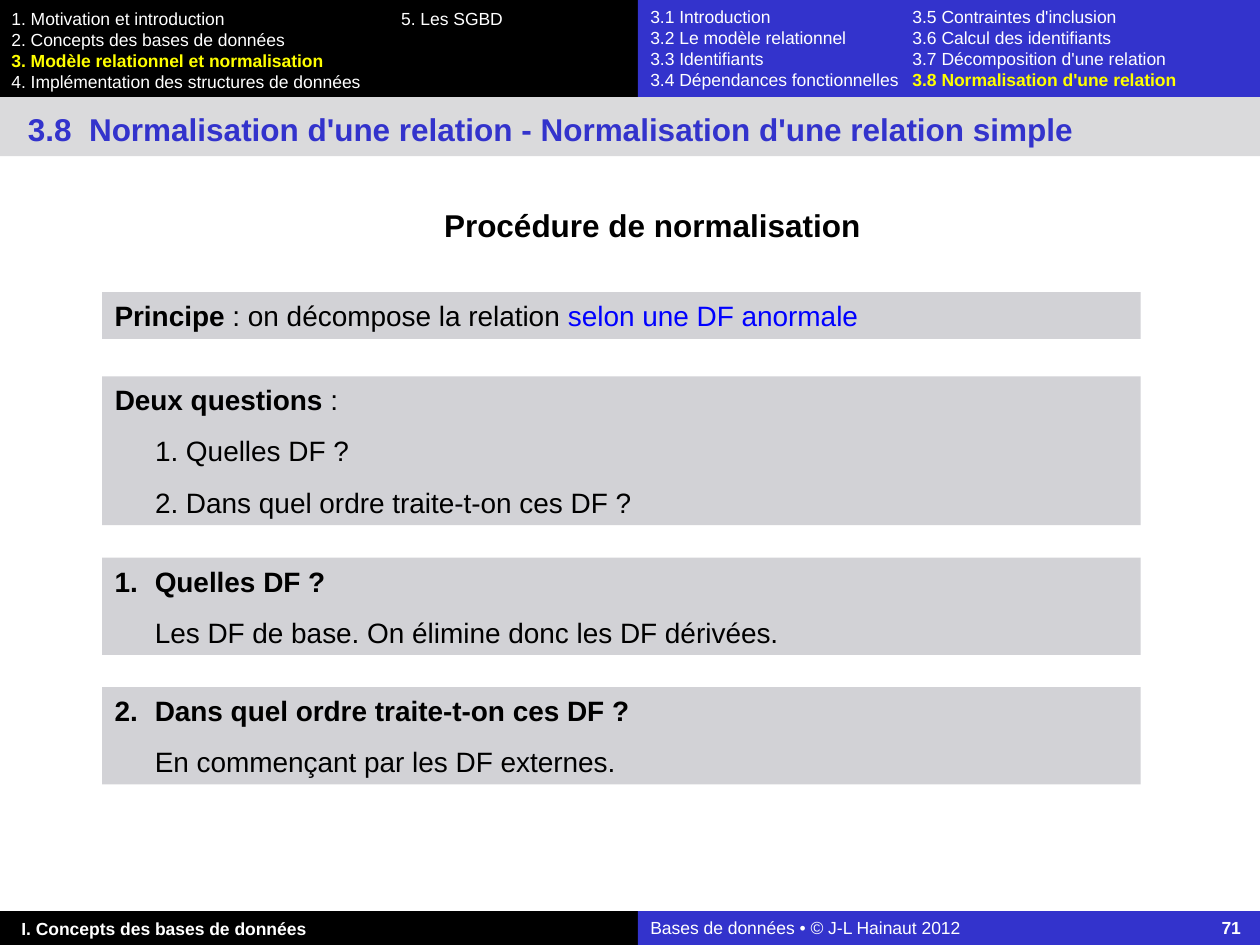
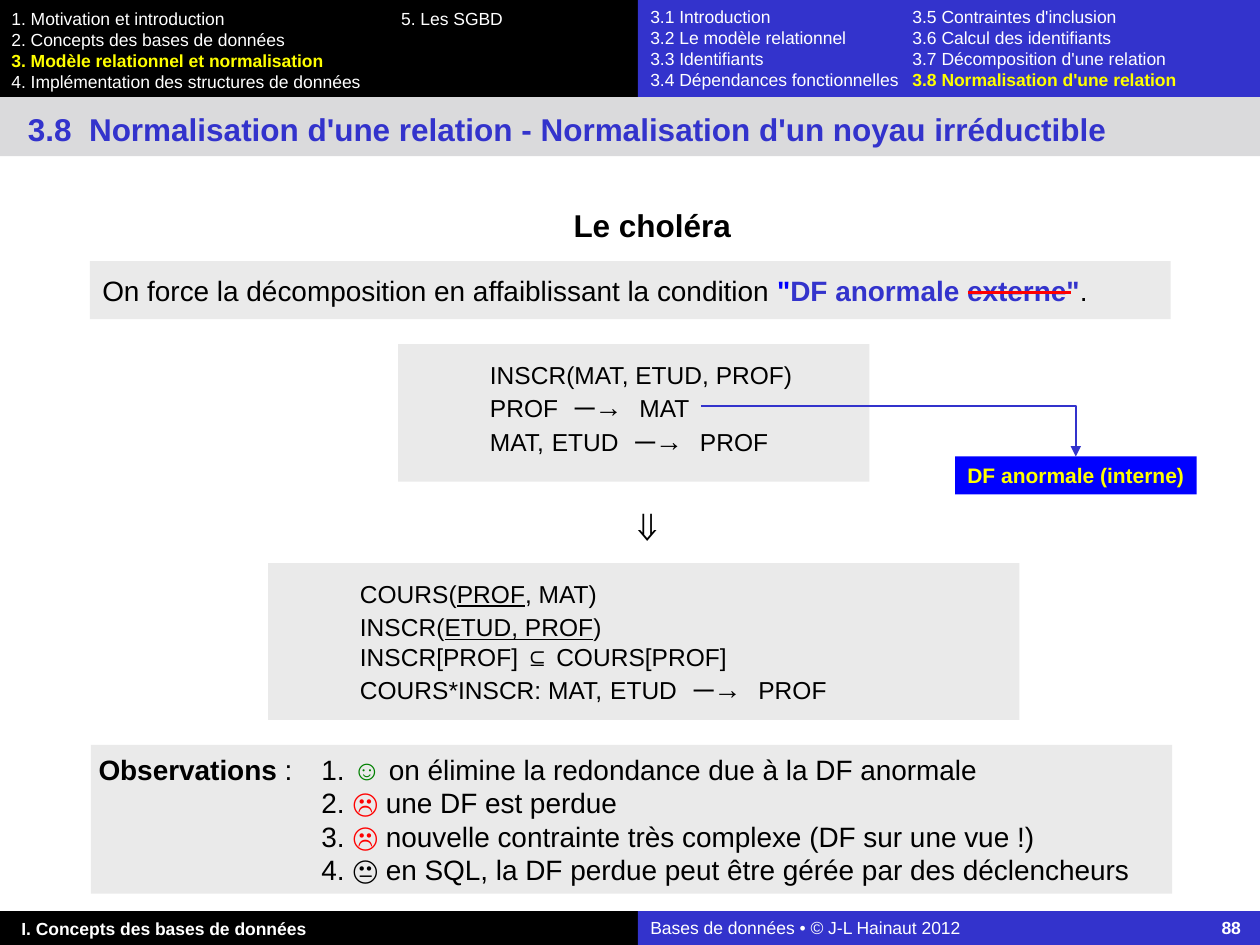
"""Build two slides of a course on relational normalisation."""
from dataclasses import dataclass

import pptx
import pptx.dml.color
import pptx.enum.shapes
import pptx.enum.text
import pptx.oxml
import pptx.oxml.ns
import pptx.presentation
import pptx.shapes.autoshape
import pptx.shapes.connector
import pptx.slide
import pptx.util

Pt = pptx.util.Pt
RGBColor = pptx.dml.color.RGBColor
Align = pptx.enum.text.PP_ALIGN

BLACK = RGBColor(0x00, 0x00, 0x00)
WHITE = RGBColor(0xFF, 0xFF, 0xFF)
YELLOW = RGBColor(0xFF, 0xFF, 0x00)
INDIGO = RGBColor(0x33, 0x33, 0xCC)
BLUE = RGBColor(0x00, 0x00, 0xFF)
RED = RGBColor(0xFF, 0x00, 0x00)
GREEN = RGBColor(0x00, 0x80, 0x00)
TITLE_GREY = RGBColor(0xDA, 0xDA, 0xDC)
PANEL_GREY = RGBColor(0xD2, 0xD2, 0xD6)
LIGHT_GREY = RGBColor(0xEA, 0xEA, 0xEA)

SLIDE_WIDTH, SLIDE_HEIGHT = 720, 540
SPLIT = 364.5
HEADER_HEIGHT, FOOTER_HEIGHT = 55.4, 19.4
FOOTER_TOP = SLIDE_HEIGHT - FOOTER_HEIGHT
SIDE = 7.2


@dataclass(frozen=True)
class Span:
    """A stretch of text in one format; no size or colour means that of its box."""

    text: str
    bold: bool = False
    color: RGBColor | None = None
    size: float | None = None
    font: str = "Arial"
    underline: bool = False


Lines = list[list[Span]]


@dataclass(frozen=True)
class Box:
    """Place and text style of a rectangle."""

    left: float
    top: float
    width: float
    height: float
    fill: RGBColor | None = None
    size: float = 16
    color: RGBColor = BLACK
    insets: tuple[float, float, float, float] = (SIDE, 3.6, SIDE, 3.6)
    tabs: tuple[tuple[float, str], ...] = ()
    hanging: float = 0
    gap: float = 0
    align: Align = Align.LEFT


def left_tab(position: float) -> tuple[tuple[float, str], ...]:
    """Return a single left tab stop."""
    return ((position, "l"),)


def set_layout(para, box: Box) -> None:
    """Give a paragraph its hanging indent, its tab stops and no bullet."""
    properties = para._p.get_or_add_pPr()
    namespace = pptx.oxml.ns.nsdecls("a")
    if box.hanging:
        properties.set("marL", str(Pt(box.hanging)))
        properties.set("indent", str(-Pt(box.hanging)))
    properties.append(pptx.oxml.parse_xml(f"<a:buNone {namespace}/>"))
    if box.tabs:
        stops = "".join(f'<a:tab pos="{Pt(place)}" algn="{side}"/>' for place, side in box.tabs)
        properties.append(pptx.oxml.parse_xml(f"<a:tabLst {namespace}>{stops}</a:tabLst>"))


def write(shape: pptx.shapes.autoshape.Shape, box: Box, lines: Lines) -> None:
    """Place a shape, fill it and write its formatted lines."""
    shape.left, shape.top = Pt(box.left), Pt(box.top)
    shape.width, shape.height = Pt(box.width), Pt(box.height)
    if box.fill is not None:
        shape.fill.solid()
        shape.fill.fore_color.rgb = box.fill
    frame = shape.text_frame
    frame.word_wrap = True
    frame.auto_size = pptx.enum.text.MSO_AUTO_SIZE.NONE
    frame.vertical_anchor = pptx.enum.text.MSO_ANCHOR.MIDDLE
    frame.margin_left, frame.margin_top, frame.margin_right, frame.margin_bottom = map(Pt, box.insets)
    for index, spans in enumerate(lines):
        para = frame.add_paragraph() if index else frame.paragraphs[0]
        set_layout(para, box)
        para.alignment = box.align
        para.space_before = Pt(box.gap if index else 0)
        for span in spans:
            run = para.add_run()
            run.text = span.text
            run.font.name = span.font
            run.font.size = Pt(span.size or box.size)
            run.font.bold = span.bold
            run.font.underline = span.underline
            run.font.color.rgb = span.color or box.color


def add_box(slide: pptx.slide.Slide, box: Box, lines: Lines) -> None:
    """Add a filled rectangle, or a text box when there is no fill."""
    if box.fill is None:
        shape = slide.shapes.add_textbox(0, 0, 0, 0)
    else:
        shape = slide.shapes.add_shape(pptx.enum.shapes.MSO_SHAPE.RECTANGLE, 0, 0, 0, 0)
        shape.shadow.inherit = False
        shape.line.fill.background()
    write(shape, box, lines)


def add_line(slide: pptx.slide.Slide, kind: pptx.enum.shapes.MSO_CONNECTOR,
             start: tuple[float, float], end: tuple[float, float],
             color: RGBColor, width: float) -> pptx.shapes.connector.Connector:
    """Add a connector without a shadow."""
    line = slide.shapes.add_connector(kind, *map(Pt, start + end))
    line.line.color.rgb = color
    line.line.width = Pt(width)
    effects = f"<a:effectLst {pptx.oxml.ns.nsdecls('a')}/>"
    line._element.spPr.append(pptx.oxml.parse_xml(effects))
    return line


def add_corner_arrow(slide: pptx.slide.Slide, start: tuple[float, float],
                     end: tuple[float, float]) -> None:
    """Add an arrow that runs right and then down."""
    arrow = add_line(slide, pptx.enum.shapes.MSO_CONNECTOR.ELBOW, start, end, INDIGO, 1.25)
    arrow._element.spPr.find(pptx.oxml.ns.qn("a:prstGeom")).set("prst", "bentConnector2")
    head = f'<a:tailEnd {pptx.oxml.ns.nsdecls("a")} type="triangle"/>'
    arrow.line._get_or_add_ln().append(pptx.oxml.parse_xml(head))


TITLE = Box(0, HEADER_HEIGHT, SLIDE_WIDTH, 33.8, TITLE_GREY, 18, INDIGO,
            (16, 6, SIDE, 3.6), left_tab(34.9))
HEADING = Box(62.4, 110.4, 617.8, 36, size=18, insets=(4.3, SIDE, 1.4, SIDE), align=Align.CENTER)
CHAPTERS = Box(0, 0, SPLIT, HEADER_HEIGHT, BLACK, 10, WHITE, (6.5, 5.6, SIDE, 3.6), left_tab(222.7))
SECTIONS = Box(SPLIT, 0, SLIDE_WIDTH - SPLIT, HEADER_HEIGHT, INDIGO, 10, WHITE, tabs=left_tab(149.8))
PART = Box(0, FOOTER_TOP, SPLIT, FOOTER_HEIGHT, BLACK, 10, WHITE, (12.2, 4.4, SIDE, 3.6))
CREDIT = Box(SPLIT, FOOTER_TOP, SLIDE_WIDTH - SPLIT, FOOTER_HEIGHT, INDIGO, 10, WHITE,
             tabs=((337.5, "r"),))

CHAPTER_LINES = [
    [Span("1. Motivation et introduction\t5. Les SGBD")],
    [Span("2. Concepts des bases de données")],
    [Span("3. Modèle relationnel et normalisation", True, YELLOW)],
    [Span("4. Implémentation des structures de données")],
]
SECTION_LINES = [
    [Span("3.1 Introduction\t3.5 Contraintes d'inclusion")],
    [Span("3.2 Le modèle relationnel\t3.6 Calcul des identifiants")],
    [Span("3.3 Identifiants\t3.7 Décomposition d'une relation")],
    [Span("3.4 Dépendances fonctionnelles\t"), Span("3.8 Normalisation d'une relation", True, YELLOW)],
]


def add_course_slide(deck: pptx.presentation.Presentation, topic: str, heading: str,
                     number: int, body: Box, body_lines: Lines) -> pptx.slide.Slide:
    """Add a slide with the course bands, its title, its heading and its list."""
    slide = deck.slides.add_slide(deck.slide_layouts[1])
    write(slide.shapes.title, TITLE, [[Span(f"3.8\tNormalisation d'une relation - {topic}", True)]])
    write(slide.placeholders[1], body, body_lines)
    add_box(slide, CHAPTERS, CHAPTER_LINES)
    add_box(slide, SECTIONS, SECTION_LINES)
    add_box(slide, PART, [[Span("I. Concepts des bases de données", True)]])
    add_box(slide, CREDIT, [[Span("Bases de données • © J-L Hainaut 2012\t"), Span(str(number), True)]])
    add_box(slide, HEADING, [[Span(heading, True)]])
    return slide


def panel(top: float, height: float) -> Box:
    """Return a grey panel of the procedure slide."""
    return Box(58.4, top, 593.4, height, PANEL_GREY, hanging=23, gap=10)


def add_procedure_slide(deck: pptx.presentation.Presentation) -> None:
    """Add the slide on the normalisation procedure."""
    questions = [
        [Span("Deux questions", True), Span(" :")],
        [Span("\t1. Quelles DF ?")],
        [Span("\t2. Dans quel ordre traite-t-on ces DF ?")],
    ]
    slide = add_course_slide(deck, "Normalisation d'une relation simple",
                             "Procédure de normalisation", 71, panel(215.1, 85), questions)
    add_box(slide, panel(167, 26.7), [[
        Span("Principe", True), Span(" : on décompose la relation "),
        Span("selon une DF anormale", color=BLUE)]])
    answers = [
        ("1.\tQuelles DF ?", "\tLes DF de base. On élimine donc les DF dérivées."),
        ("2.\tDans quel ordre traite-t-on ces DF ?", "\tEn commençant par les DF externes."),
    ]
    for index, (question, answer) in enumerate(answers):
        add_box(slide, panel(318.7 + 73.9 * index, 55.6), [[Span(question, True)], [Span(answer)]])


def dependency(source: list[Span], target: str) -> list[Span]:
    """Return a line showing a functional dependency."""
    wide_space = Span(" ", size=16, font="Courier New")
    return [Span("\t", size=16), *source, wide_space, Span("─→", size=16), wide_space, Span(target)]


def key_relation(name: str, key: str, rest: str) -> list[Span]:
    """Return a line showing a relation with its identifier underlined."""
    return [Span("\t", size=16, font="Times New Roman"), Span(f"{name}("),
            Span(key, underline=True), Span(rest)]


def add_cholera_slide(deck: pptx.presentation.Presentation) -> None:
    """Add the slide on the forced decomposition."""
    remarks = Box(52, 425.7, 617.8, 85, LIGHT_GREY, insets=(4.3, 4.3, 1.4, 4.3), hanging=127.4)
    remark_lines = [
        [Span("Observations", True), Span(" :\t1. "), Span("☺ ", True, GREEN),
         Span("on élimine la redondance due à la DF anormale")],
        [Span("\t2. "), Span("☹", True, RED), Span(" une DF est perdue")],
        [Span("\t3. "), Span("☹", True, RED),
         Span(" nouvelle contrainte très complexe (DF sur une vue !)")],
        [Span("\t4. "), Span("😐", True),
         Span(" en SQL, la DF perdue peut être gérée par des déclencheurs")],
    ]
    slide = add_course_slide(deck, "Normalisation d'un noyau irréductible",
                             "Le choléra", 88, remarks, remark_lines)

    add_box(slide, Box(51.4, 149.2, 617.6, 33.2, LIGHT_GREY), [[
        Span("On force la décomposition en affaiblissant la condition "),
        Span('"', True, BLUE), Span('DF anormale externe"', True, INDIGO), Span(".")]])
    add_line(slide, pptx.enum.shapes.MSO_CONNECTOR.STRAIGHT, (553, 167.2), (612, 167.2), RED, 1.5)

    schema_tab = left_tab(45.4)
    add_box(slide, Box(227.5, 196.6, 269.3, 78.6, LIGHT_GREY, 14,
                       insets=(SIDE, SIDE, SIDE, 14.4), tabs=schema_tab), [
        [Span("\t", size=16, font="Times New Roman"), Span("INSCR(MAT, ETUD, PROF)")],
        dependency([Span("PROF")], "MAT"),
        dependency([Span("MAT,"), Span(" ", size=16), Span("ETUD")], "PROF")])
    add_box(slide, Box(355.7, 282, 28.8, 36, size=24, insets=(0, 3.6, 0, 3.6), align=Align.CENTER),
            [[Span("⇓")]])
    add_box(slide, Box(153.2, 321.8, 429.4, 89.6, LIGHT_GREY, 14,
                       insets=(SIDE, SIDE, SIDE, 8.6), tabs=schema_tab), [
        key_relation("COURS", "PROF", ", MAT)"),
        key_relation("INSCR", "ETUD, PROF", ")"),
        [Span("\tINSCR[PROF] ⊆ COURS[PROF]")],
        dependency([Span("COURS*INSCR: MAT,"), Span(" ", size=16), Span("ETUD")], "PROF")])

    add_box(slide, Box(545.8, 260.8, 138, 21.7, BLUE, 12, YELLOW, (3, 3.6, 3, 3.6), align=Align.CENTER),
            [[Span("DF anormale (interne)", True)]])
    add_corner_arrow(slide, (400.6, 232.2), (614.8, 260.8))


def main() -> None:
    """Build and save the deck."""
    deck = pptx.Presentation()
    deck.slide_width, deck.slide_height = Pt(SLIDE_WIDTH), Pt(SLIDE_HEIGHT)
    add_procedure_slide(deck)
    add_cholera_slide(deck)
    deck.save("out.pptx")


if __name__ == "__main__":
    main()
